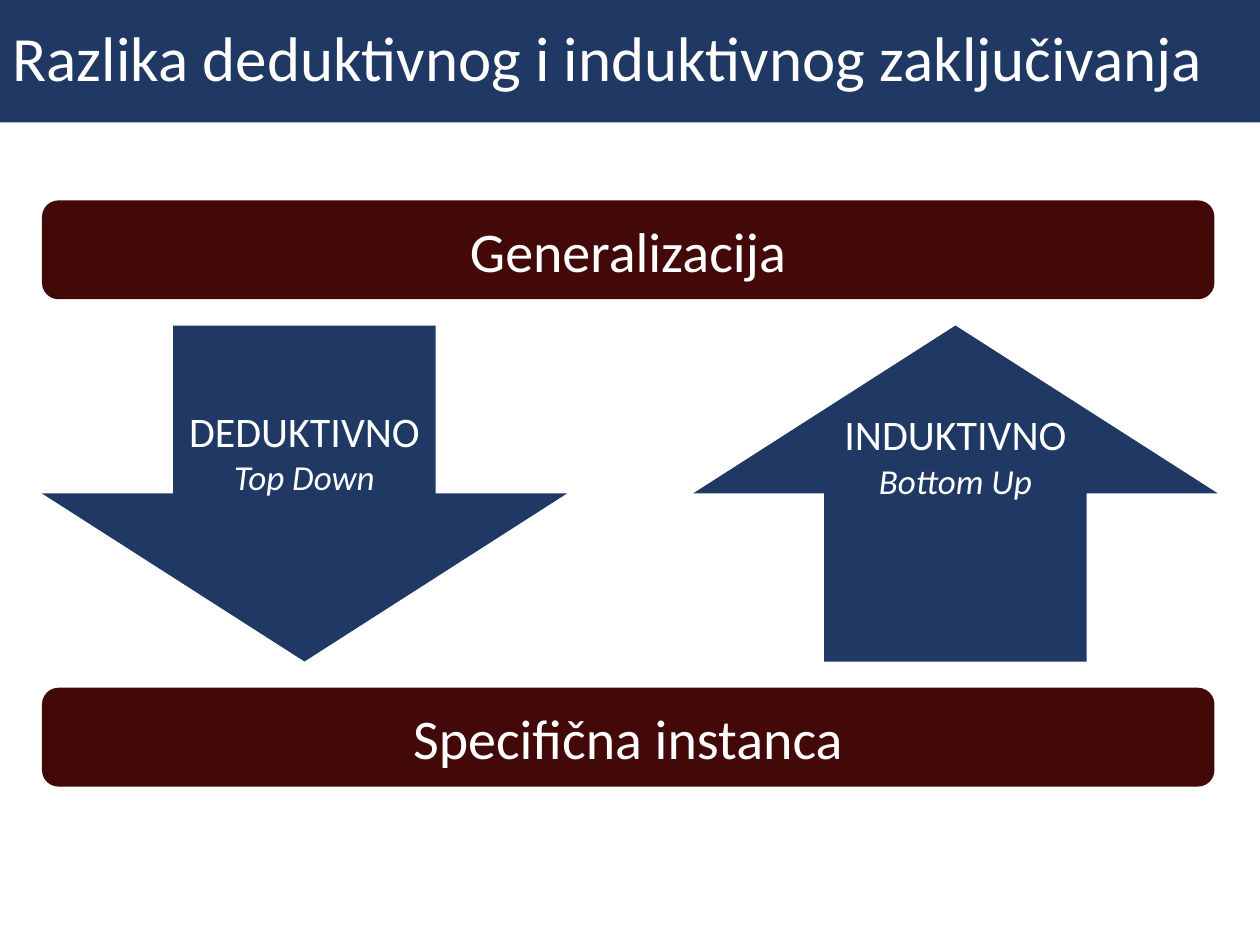
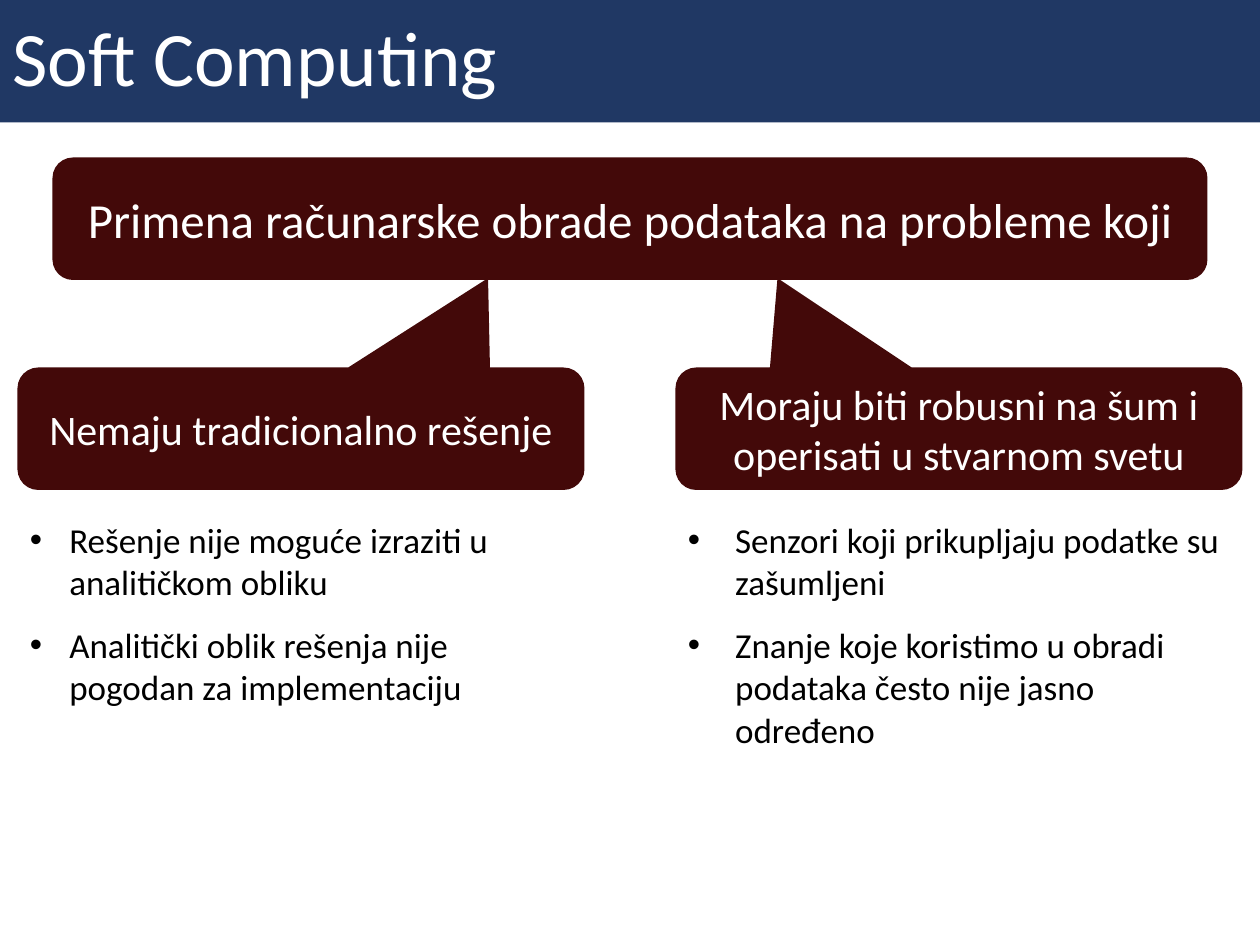
from dataclasses import dataclass

from pptx import Presentation
from pptx.dml.color import RGBColor
from pptx.enum.shapes import MSO_SHAPE as Shape
from pptx.enum.text import MSO_ANCHOR as Anchor, MSO_AUTO_SIZE as AutoSize, PP_ALIGN as Align
from pptx.oxml.ns import qn
from pptx.util import Pt
from lxml.etree import SubElement

SLIDE_W, SLIDE_H = 720, 540
TITLE_ONLY = 5


@dataclass(frozen=True)
class Theme:
    font: str = "Calibri"
    navy: RGBColor = RGBColor(0x20, 0x38, 0x64)
    maroon: RGBColor = RGBColor(0x43, 0x09, 0x09)
    white: RGBColor = RGBColor(0xFF, 0xFF, 0xFF)
    black: RGBColor = RGBColor(0, 0, 0)
    title: int = 44
    long_title: int = 36
    band: int = 32
    lead: int = 28
    label: int = 24
    body: int = 20
    title_height: int = 70


class Deck:
    def __init__(self, theme):
        self.theme = theme
        self.prs = Presentation()
        self.prs.slide_width, self.prs.slide_height = Pt(SLIDE_W), Pt(SLIDE_H)
        self.slide = None

    def new_slide(self, title, size):
        self.slide = self.prs.slides.add_slide(self.prs.slide_layouts[TITLE_ONLY])
        bar = self.slide.shapes.title
        bar.left, bar.top = Pt(0), Pt(0)
        bar.width, bar.height = Pt(SLIDE_W), Pt(self.theme.title_height)
        self.paint(bar, self.theme.navy)
        frame = bar.text_frame
        frame.auto_size = AutoSize.NONE
        frame.vertical_anchor = Anchor.MIDDLE
        paragraph = frame.paragraphs[0]
        paragraph.alignment = Align.LEFT
        paragraph.line_spacing = 0.9
        self.run(paragraph, title, size, self.theme.white)

    def paint(self, shape, color):
        shape.fill.solid()
        shape.fill.fore_color.rgb = color
        shape.line.fill.background()

    def run(self, paragraph, text, size, color, italic=False):
        run = paragraph.add_run()
        run.text = text
        font = run.font
        font.name, font.size, font.italic = self.theme.font, Pt(size), italic
        font.color.rgb = color

    def centered(self, frame, lines):
        """Write (text, size, italic) lines, centred and white."""
        for i, (text, size, italic) in enumerate(lines):
            paragraph = frame.add_paragraph() if i else frame.paragraphs[0]
            paragraph.alignment = Align.CENTER
            self.run(paragraph, text, size, self.theme.white, italic)

    def block(self, kind, box, color, lines=(), adjustments=()):
        shape = self.slide.shapes.add_shape(kind, *map(Pt, box))
        shape.shadow.inherit = False
        self.paint(shape, color)
        for i, value in enumerate(adjustments):
            shape.adjustments[i] = value
        shape.text_frame.word_wrap = True
        shape.text_frame.vertical_anchor = Anchor.MIDDLE
        self.centered(shape.text_frame, lines)

    def caption(self, box, lines):
        frame = self.slide.shapes.add_textbox(*map(Pt, box)).text_frame
        self.centered(frame, lines)

    def bullets(self, box, items, indent):
        frame = self.slide.shapes.add_textbox(*map(Pt, box)).text_frame
        frame.word_wrap = True
        for i, item in enumerate(items):
            paragraph = frame.add_paragraph() if i else frame.paragraphs[0]
            props = paragraph._p.get_or_add_pPr()
            props.set("marL", str(Pt(indent)))
            props.set("indent", str(-Pt(indent)))
            SubElement(props, qn("a:buFont")).set("typeface", "Arial")
            SubElement(props, qn("a:buChar")).set("char", "•")
            paragraph.space_after = Pt(12)
            self.run(paragraph, item, self.theme.body, self.theme.black)


def reasoning_slide(deck):
    theme = deck.theme
    deck.new_slide("Razlika deduktivnog i induktivnog zaključivanja", theme.long_title)
    margin, arrow_top, arrow_w, arrow_h = 24, 186, 300, 192
    for text, top in (("Generalizacija", 114.5), ("Specifična instanca", 393)):
        deck.block(Shape.ROUNDED_RECTANGLE, (margin, top, 670, 56.5), theme.maroon,
                   [(text, theme.band, False)])

    deduction = [("DEDUKTIVNO", theme.label, False), ("Top Down", theme.body, True)]
    induction = [("INDUKTIVNO", theme.label, False), ("Bottom Up", theme.body, True)]
    deck.block(Shape.DOWN_ARROW, (margin, arrow_top, arrow_w, arrow_h), theme.navy, deduction)
    up_left = SLIDE_W - margin - arrow_w
    deck.block(Shape.UP_ARROW, (up_left, arrow_top, arrow_w, arrow_h), theme.navy)
    caption_w = 143
    deck.caption((up_left + (arrow_w - caption_w) / 2, 230, caption_w, 75), induction)


def soft_computing_slide(deck):
    theme = deck.theme
    deck.new_slide("Soft Computing", theme.title)
    box_h = 70
    deck.block(Shape.ROUNDED_RECTANGLE, (30, 90, SLIDE_W - 60, box_h), theme.maroon,
               [("Primena računarske obrade podataka na probleme koji", theme.lead, False)])

    margin, column_w = 10, 324
    columns = (
        (margin, "Nemaju tradicionalno rešenje", (0.33, -1.23, 0.17), 22.5, 140,
         ("Rešenje nije moguće izraziti u analitičkom obliku",
          "Analitički oblik rešenja nije pogodan za implementaciju")),
        (SLIDE_W - margin - column_w, "Moraju biti robusni na šum i operisati u stvarnom svetu",
         (-0.32, -1.23, 0.17), 27, 165,
         ("Senzori koji prikupljaju podatke su zašumljeni",
          "Znanje koje koristimo u obradi podataka često nije jasno određeno")),
    )
    for left, requirement, pointer, indent, height, reasons in columns:
        deck.block(Shape.ROUNDED_RECTANGULAR_CALLOUT, (left, 210, column_w, box_h),
                   theme.maroon, [(requirement, theme.label, False)], pointer)
        deck.bullets((left, 293, column_w, height), reasons, indent)


def main():
    deck = Deck(Theme())
    reasoning_slide(deck)
    soft_computing_slide(deck)
    deck.prs.save("out.pptx")


if __name__ == "__main__":
    main()
